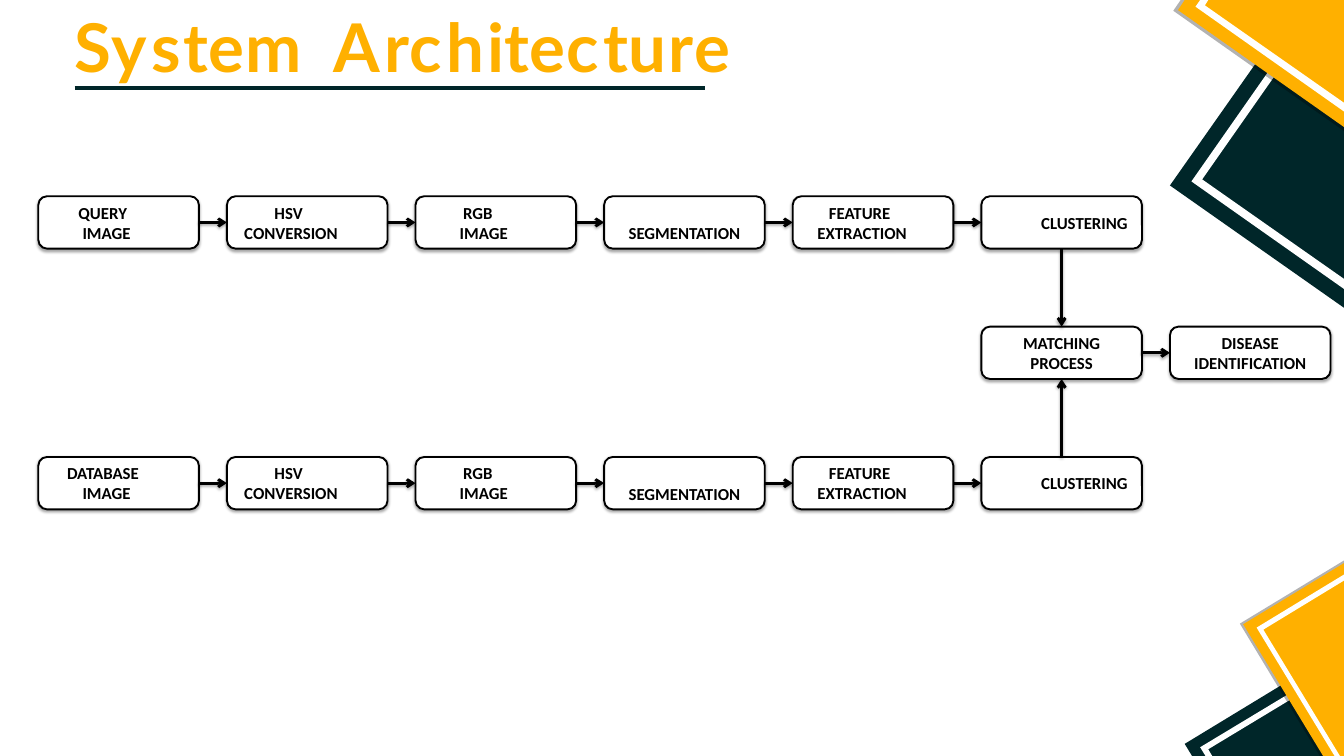
import lxml.etree
import pptx
import pptx.dml.color
import pptx.enum.shapes
import pptx.enum.text
import pptx.oxml.ns
import pptx.util
from pptx.util import Inches, Pt

DARK, AMBER, WHITE, BLACK = "002629", "FFB000", "FFFFFF", "000000"
LEFT, MIDDLE_ROW, BOX_WIDTH, BOX_HEIGHT = 0.57, 4.86, 2.39, 0.78
COLUMN_STEP, ROW_STEP = (17.41 - LEFT) / 6, 1.94
TOP, LEFT_SIDE, BOTTOM, RIGHT_SIDE = range(4)  # connection sites

TITLE_SPANS = [
    ("S", -1), ("y", 5), ("s", 3), ("t", 0), ("e", 1), ("m ", 8), ("A", 5),
    ("r", 0), ("c", 5), ("h", 3), ("it", 0), ("e", 1), ("c", 5), ("t", 0),
    ("u", 3), ("r", 0), ("e", 1),
]

# Each step: lines with their indents, alignment, anchor
SHARED_STEPS = [
    ([("HSV", 0.62), ("CONVERSION", 0.17)], "LEFT", "MIDDLE"),
    ([("RGB", 0.62), ("IMAGE", 0.57)], "LEFT", "MIDDLE"),
    ([("SEGMENTATION", 0)], "CENTER", "BOTTOM"),
    ([("FEATURE", 0.45), ("EXTRACTION", 0.28)], "LEFT", "MIDDLE"),
    ([("CLUSTERING", 0.68)], "CENTER", "MIDDLE"),
]
QUERY = ([("QUERY", 0.51), ("IMAGE", 0.57)], "LEFT", "MIDDLE")
DATABASE = ([("DATABASE", 0.34), ("IMAGE", 0.57)], "LEFT", "MIDDLE")
MATCHING = ([("MATCHING", 0), ("PROCESS", 0)], "CENTER", "MIDDLE")
DISEASE = ([("DISEASE", 0), ("IDENTIFICATION", 0)], "CENTER", "MIDDLE")

# Corner decoration, back to front: colour, opacity in percent, corners
DECORATION = [
    (DARK, 100, [(20, 4.58), (17.41, 2.76), (19.35, 0), (20, 0)]),
    (DARK, 100, [(20, 11.25), (17.74, 11.25), (17.63, 11.07), (20, 9.63)]),
    (WHITE, 100, [(20, 4.3), (17.73, 2.7), (19.62, 0), (19.76, 0),
                  (17.89, 2.67), (20, 4.15)]),
    (WHITE, 100, [(17.94, 11.25), (17.86, 11.12), (20, 9.83), (20, 9.93),
                  (17.98, 11.15), (18.04, 11.25)]),
    (BLACK, 30, [(20, 1.95), (17.46, 0.16), (17.57, 0), (20, 0)]),
    (BLACK, 30, [(20, 11.25), (19.64, 11.25), (18.45, 9.28), (20, 8.34)]),
    (AMBER, 100, [(20, 1.89), (17.53, 0.15), (17.63, 0), (20, 0)]),
    (AMBER, 100, [(20, 11.25), (19.69, 11.25), (18.5, 9.29), (20, 8.38)]),
    (WHITE, 100, [(20, 1.66), (17.79, 0.1), (17.86, 0), (17.98, 0),
                  (17.93, 0.08), (20, 1.53)]),
    (WHITE, 100, [(19.86, 11.25), (18.7, 9.34), (20, 8.55), (20, 8.64),
                  (18.8, 9.37), (19.94, 11.25)]),
]


def color(value):
    return pptx.dml.color.RGBColor.from_string(value)


def add_xml(parent, tag, **attributes):
    child = lxml.etree.SubElement(parent, pptx.oxml.ns.qn(tag))
    for name, value in attributes.items():
        child.set(name, str(value))
    return child


def set_all(target, values):
    for name, value in values.items():
        setattr(target, name, value)


def set_margins(frame, inches):
    for side in ("left", "top", "right", "bottom"):
        setattr(frame, f"margin_{side}", Inches(inches))


class DiagramPage:
    title_font = {"name": "Lato", "size": Pt(72), "bold": True}
    step_font = {"name": "Calibri", "size": Pt(18), "bold": True}

    def __init__(self, page):
        self.page = page

    def drop_shadow(self, effects):
        shadow = add_xml(effects, "a:outerShdw", blurRad=Pt(3), dist=Pt(1.8),
                         dir=5400000, rotWithShape=0)
        black = add_xml(shadow, "a:srgbClr", val=BLACK)
        add_xml(black, "a:alpha", val=35000)

    def panel(self, fill, opacity, corners):
        points = [(Inches(x), Inches(y)) for x, y in corners]
        builder = self.page.shapes.build_freeform(*points[0])
        builder.add_line_segments(points[1:], close=True)
        shape = builder.convert_to_shape()
        shape.shadow.inherit = False
        shape.line.fill.background()
        shape.fill.solid()
        shape.fill.fore_color.rgb = color(fill)
        if opacity < 100:
            tint = shape.element.spPr.find(".//" + pptx.oxml.ns.qn("a:srgbClr"))
            add_xml(tint, "a:alpha", val=opacity * 1000)

    def title(self, spans):
        box = self.page.shapes.title
        set_all(box, {"left": Inches(1.11), "top": Inches(0.08),
                      "width": Inches(10.78), "height": Inches(1.23)})
        frame = box.text_frame
        set_margins(frame, 0)
        set_all(frame, {"word_wrap": True,
                        "auto_size": pptx.enum.text.MSO_AUTO_SIZE.NONE,
                        "vertical_anchor": pptx.enum.text.MSO_ANCHOR.TOP})
        para = frame.paragraphs[0]
        set_all(para, {"alignment": pptx.enum.text.PP_ALIGN.LEFT,
                       "space_before": Pt(1)})
        for text, _ in spans:
            span = para.add_run()
            span.text = text
            set_all(span.font, self.title_font)
            span.font.color.rgb = color(AMBER)
        properties = box.element.iter(pptx.oxml.ns.qn("a:rPr"))
        for item, (_, spacing) in zip(properties, spans):
            item.set("spc", str(spacing * 100))

    def step(self, column, row, lines, alignment, anchor):
        """Add a rounded box at a grid place; rows count from the middle one."""
        box = self.page.shapes.add_shape(
            pptx.enum.shapes.MSO_SHAPE.ROUNDED_RECTANGLE,
            Inches(LEFT + column * COLUMN_STEP),
            Inches(MIDDLE_ROW + row * ROW_STEP),
            Inches(BOX_WIDTH), Inches(BOX_HEIGHT))
        box.fill.solid()
        box.fill.fore_color.rgb = color(WHITE)
        box.line.color.rgb = color(BLACK)
        box.line.width = Pt(2)
        box.shadow.inherit = False
        self.drop_shadow(box.element.spPr.find(pptx.oxml.ns.qn("a:effectLst")))
        frame = box.text_frame
        set_margins(frame, 0.05)
        frame.word_wrap = True
        frame.vertical_anchor = getattr(pptx.enum.text.MSO_ANCHOR, anchor)
        frame.text = "\n".join(text for text, _ in lines)
        for para in frame.paragraphs:
            para.alignment = getattr(pptx.enum.text.PP_ALIGN, alignment)
            set_all(para.runs[0].font, self.step_font)
            para.runs[0].font.color.rgb = color(BLACK)
        properties = box.element.iter(pptx.oxml.ns.qn("a:pPr"))
        for item, (_, indent) in zip(properties, lines):
            item.set("marL", str(Inches(indent)))
        return box

    def rule(self, start, end, stroke, width):
        line = self.page.shapes.add_connector(
            pptx.enum.shapes.MSO_CONNECTOR.STRAIGHT,
            *(Inches(value) for value in start + end))
        line.line.color.rgb = color(stroke)
        line.line.width = Pt(width)
        return line, add_xml(line.element.spPr, "a:effectLst")

    def arrow(self, source, source_site, target, target_site):
        line, effects = self.rule((0, 0), (0, 0), BLACK, 3)
        line.begin_connect(source, source_site)
        line.end_connect(target, target_site)
        outline = line.element.spPr.find(pptx.oxml.ns.qn("a:ln"))
        add_xml(outline, "a:tailEnd", type="arrow")
        self.drop_shadow(effects)

    def chain(self, row, first):
        """Add a row of linked steps and return the last box."""
        boxes = [self.step(column, row, *content)
                 for column, content in enumerate([first] + SHARED_STEPS)]
        for source, target in zip(boxes, boxes[1:]):
            self.arrow(source, RIGHT_SIDE, target, LEFT_SIDE)
        return boxes[-1]


def main():
    deck = pptx.Presentation()
    deck.slide_width, deck.slide_height = Inches(20), Inches(11.25)
    diagram = DiagramPage(deck.slides.add_slide(deck.slide_layouts[5]))
    for fill, opacity, corners in DECORATION:
        diagram.panel(fill, opacity, corners)
    diagram.title(TITLE_SPANS)
    diagram.rule((1.11, 1.31), (10.49, 1.31), DARK, 3.75)

    query_end = diagram.chain(-1, QUERY)
    database_end = diagram.chain(1, DATABASE)
    matching = diagram.step(5, 0, *MATCHING)
    disease = diagram.step(6, 0, *DISEASE)
    diagram.arrow(matching, RIGHT_SIDE, disease, LEFT_SIDE)
    diagram.arrow(query_end, BOTTOM, matching, TOP)
    diagram.arrow(database_end, TOP, matching, BOTTOM)
    deck.save("out.pptx")


if __name__ == "__main__":
    main()
